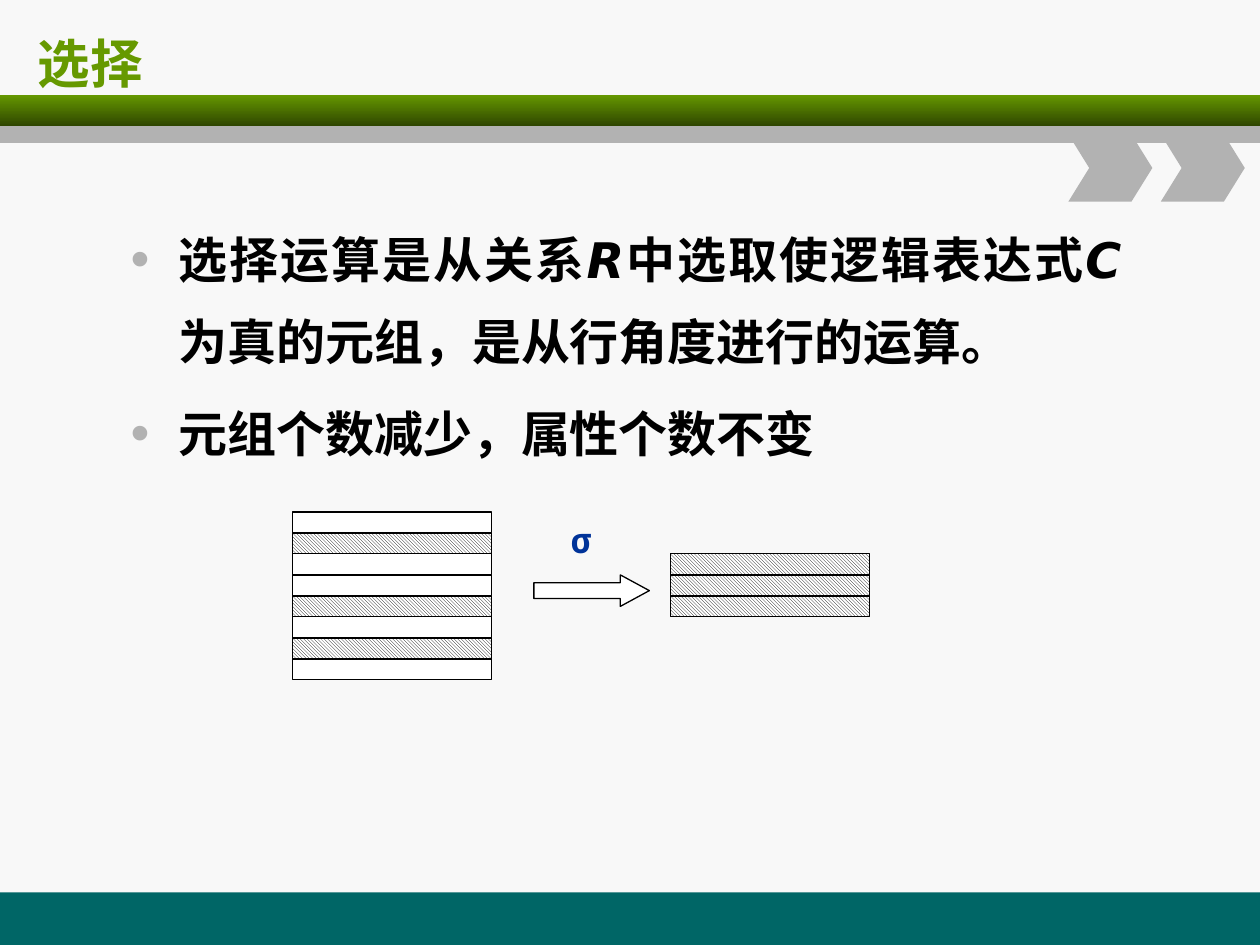
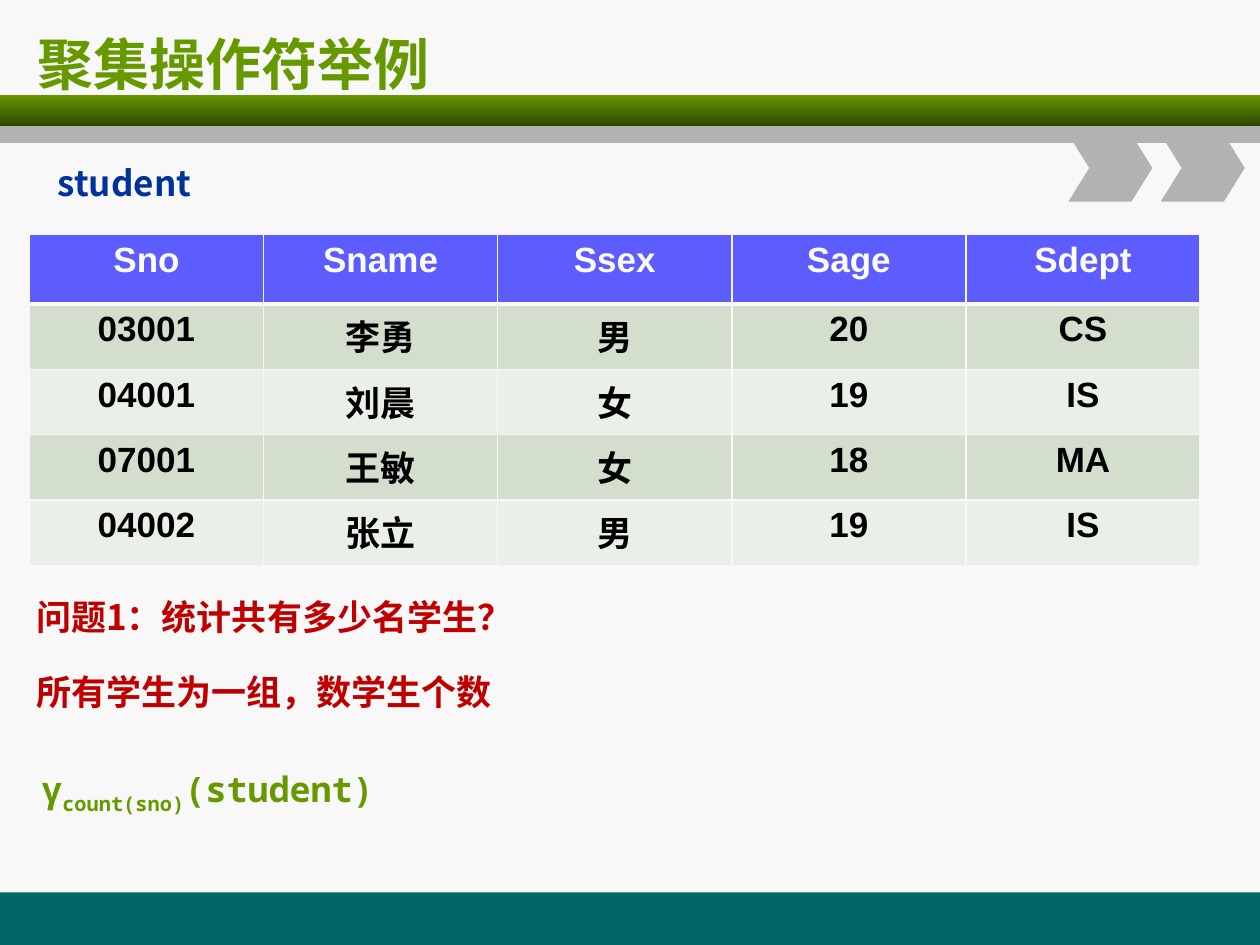
from typing import NamedTuple

from lxml.etree import SubElement
from pptx import Presentation
from pptx.dml.color import RGBColor
from pptx.enum.dml import MSO_PATTERN_TYPE as Pattern
from pptx.enum.shapes import MSO_SHAPE as Shape
from pptx.enum.text import MSO_ANCHOR as Anchor, MSO_AUTO_SIZE as AutoSize, PP_ALIGN as Align
from pptx.oxml.ns import qn
from pptx.util import Inches, Pt

GREEN, DARK_GREEN, TEAL, GRAY = "669900", "2F4600", "006666", "B2B2B2"
PAPER, WHITE, BLACK, NAVY, RED = "F8F8F8", "FFFFFF", "000000", "003399", "C00000"
HEADER_BLUE, HEADER_TEXT = "5C5CFF", "FBFBFB"
ROW_TINTS = ("D3DECC", "EAEFE7")
SANS, MONO, CJK, ARIAL = "DejaVu Sans", "Noto Sans Mono", "Noto Sans CJK SC", "Arial"
MODULES_PER_INCH = 12

STUDENTS = [
    ("Sno", "Sname", "Ssex", "Sage", "Sdept"),
    ("03001", "李勇", "男", "20", "CS"),
    ("04001", "刘晨", "女", "19", "IS"),
    ("07001", "王敏", "女", "18", "MA"),
    ("04002", "张立", "男", "19", "IS"),
]


class Box(NamedTuple):
    """A region measured in grid modules; the slide is 120 by 90."""
    x: float
    y: float
    w: float
    h: float

    def inner(self, x, y, w, h):
        return Box(self.x + x, self.y + y, w, h)

    def lengths(self):
        return [Inches(side / MODULES_PER_INCH) for side in self]


SLIDE = Box(0, 0, 120, 90)


def rgb(code):
    return RGBColor.from_string(code)


def add_run(paragraph, text, size, color, font=CJK, italic=False, baseline=0):
    run = paragraph.add_run()
    run.text = text
    run.font.size, run.font.name = Pt(size), font
    run.font.bold, run.font.italic = True, italic
    run.font.color.rgb = rgb(color)
    properties = run._r.get_or_add_rPr()
    SubElement(properties, qn("a:ea")).set("typeface", CJK)
    if baseline:
        properties.set("baseline", str(baseline * 1000))


def place(holder, box):
    holder.left, holder.top, holder.width, holder.height = box.lengths()


def add_figure(shapes, kind, box, fill=None, outlined=False):
    figure = shapes.add_shape(kind, *box.lengths())
    figure.shadow.inherit = False
    if fill:
        figure.fill.solid()
        figure.fill.fore_color.rgb = rgb(fill)
    if outlined:
        figure.line.color.rgb = rgb(BLACK)
        figure.line.width = Pt(0.75)
    else:
        figure.line.fill.background()
    return figure


def add_label(shapes, box, align=Align.LEFT):
    """Add a text box and return its first paragraph."""
    frame = shapes.add_textbox(*box.lengths()).text_frame
    frame.word_wrap = True
    frame.paragraphs[0].alignment = align
    return frame.paragraphs[0]


def decorate_master(master, slide, box):
    """Draw the bands and chevrons on a slide, then hand them to the master."""
    master.background.fill.solid()
    master.background.fill.fore_color.rgb = rgb(PAPER)
    bands = slide.shapes.add_group_shape()
    add_figure(bands.shapes, Shape.RECTANGLE, box.inner(0, 85, box.w, 5), TEAL)
    shaded = add_figure(bands.shapes, Shape.RECTANGLE, box.inner(0, 9, box.w, 3))
    shaded.fill.gradient()
    shaded.fill.gradient_angle = 270
    for stop, color in zip(shaded.fill.gradient_stops, (GREEN, DARK_GREEN)):
        stop.color.rgb = rgb(color)
    add_figure(bands.shapes, Shape.RECTANGLE, box.inner(0, 12, box.w, 1.6), GRAY)
    for index in range(2):
        chevron = add_figure(bands.shapes, Shape.CHEVRON,
                             box.inner(101.75 + 8.8 * index, 12.8, 8, 6.4), GRAY)
        chevron.adjustments[0] = 0.31
    for number, identity in enumerate(bands.element.iter(qn("p:cNvPr")), 20):
        identity.set("id", str(number))
    master.shapes.element.append(bands.element)


def set_title(slide, text, size):
    title = slide.shapes.title
    place(title, SLIDE.inner(2.4, 2, 114.6, 8))
    frame = title.text_frame
    frame.vertical_anchor, frame.auto_size = Anchor.MIDDLE, AutoSize.NONE
    frame.paragraphs[0].alignment = Align.LEFT
    add_run(frame.paragraphs[0], text, size, GREEN, SANS)


def format_bullet(paragraph):
    properties = paragraph._p.get_or_add_pPr()
    properties.set("marL", str(Inches(0.38)))
    properties.set("indent", str(-Inches(0.38)))
    color = SubElement(properties, qn("a:buClr"))
    SubElement(color, qn("a:srgbClr")).set("val", GRAY)
    SubElement(properties, qn("a:buSzPct")).set("val", "110000")
    SubElement(properties, qn("a:buFont")).set("typeface", ARIAL)
    SubElement(properties, qn("a:buChar")).set("char", "•")
    paragraph.alignment, paragraph.line_spacing = Align.JUSTIFY, 1.4


def fill_body(body, box, points):
    """Each point is a list of text pieces, every second one in italics."""
    place(body, box)
    frame = body.text_frame
    frame.auto_size = AutoSize.NONE
    for index, pieces in enumerate(points):
        paragraph = frame.add_paragraph() if index else frame.paragraphs[0]
        format_bullet(paragraph)
        paragraph.space_before = Pt(5.6 if index else 0)
        for order, piece in enumerate(pieces):
            add_run(paragraph, piece, 28, BLACK, SANS, italic=order % 2 == 1)


def draw_relation(shapes, box, row_count, selected):
    row_height = box.h / row_count
    for row in range(row_count):
        tuple_box = box.inner(0, row * row_height, box.w, row_height)
        bar = add_figure(shapes, Shape.RECTANGLE, tuple_box, WHITE, outlined=True)
        if row in selected:
            bar.fill.patterned()
            bar.fill.pattern = Pattern.LIGHT_DOWNWARD_DIAGONAL
            bar.fill.fore_color.rgb = rgb(BLACK)
            bar.fill.back_color.rgb = rgb(WHITE)


def draw_selection(slide, box):
    shapes = slide.shapes.add_group_shape().shapes
    draw_relation(shapes, box.inner(0, 0, 19, 16), 8, {1, 4, 6})
    draw_relation(shapes, box.inner(36, 4, 19, 6), 3, {0, 1, 2})
    arrow = add_figure(shapes, Shape.RIGHT_ARROW, box.inner(23, 6, 11, 3), WHITE, outlined=True)
    arrow.adjustments[1] = 0.92
    sigma = add_label(shapes, box.inner(23, 0, 9, 5.25), Align.CENTER)
    add_run(sigma, "σ", 20, NAVY, MONO)


def set_borders(cell, widths):
    properties = cell._tc.get_or_add_tcPr()
    for side, width in zip("LRTB", widths):
        border = SubElement(properties, qn(f"a:ln{side}"))
        border.set("w", str(Pt(width)))
        color = SubElement(SubElement(border, qn("a:solidFill")), qn("a:srgbClr"))
        color.set("val", PAPER)


def add_student_table(slide, box):
    table = slide.shapes.add_table(len(STUDENTS), len(STUDENTS[0]), *box.lengths()).table
    table.horz_banding = False
    header_height = 6.6
    row_height = (box.h - header_height) / (len(STUDENTS) - 1)
    for index, record in enumerate(STUDENTS):
        is_header = index == 0
        table.rows[index].height = Inches(
            (header_height if is_header else row_height) / MODULES_PER_INCH)
        for column, value in enumerate(record):
            cell = table.cell(index, column)
            set_borders(cell, (1, 1, 3 if index == 1 else 1, 3 if is_header else 1))
            cell.fill.solid()
            cell.fill.fore_color.rgb = rgb(HEADER_BLUE if is_header else ROW_TINTS[(index - 1) % 2])
            paragraph = cell.text_frame.paragraphs[0]
            paragraph.alignment = Align.CENTER
            add_run(paragraph, value, 20, HEADER_TEXT if is_header else BLACK, ARIAL)


def add_question(slide, box):
    line_height = 5.25
    for y, text in ((0, "问题1：统计共有多少名学生？"), (7.1, "所有学生为一组，数学生个数")):
        add_run(add_label(slide.shapes, box.inner(0, y, box.w, line_height)), text, 20, RED)
    formula = add_label(slide.shapes, box.inner(0.5, 16.4, box.w, line_height))
    for text, baseline in (("γ", 0), ("count(sno)", -25), ("(student)", 0)):
        add_run(formula, text, 20, GREEN, MONO, baseline=baseline)


def build_selection_slide(slide):
    set_title(slide, "选择", 30)
    fill_body(slide.placeholders[1], SLIDE.inner(11.25, 19, 96.75, 65), [
        ["选择运算是从关系", "R", "中选取使逻辑表达式", "C", "为真的元组，是从行角度进行的运算。"],
        ["元组个数减少，属性个数不变"],
    ])
    draw_selection(slide, SLIDE.inner(27.85, 48.75, 55, 16))


def build_aggregate_slide(slide):
    set_title(slide, "聚集操作符举例", 32)
    add_student_table(slide, SLIDE.inner(2.8, 22.35, 111.5, 31.5))
    caption = add_label(slide.shapes, SLIDE.inner(0.4, 14.8, 19, 5.25), Align.RIGHT)
    add_run(caption, "student", 20, NAVY)
    add_question(slide, SLIDE.inner(2.25, 56.15, 88, 21.65))


def main():
    deck = Presentation()
    deck.slide_width, deck.slide_height = SLIDE.lengths()[2:]
    selection = deck.slides.add_slide(deck.slide_layouts.get_by_name("Title and Content"))
    aggregate = deck.slides.add_slide(deck.slide_layouts.get_by_name("Title Only"))
    decorate_master(deck.slide_master, selection, SLIDE)
    build_selection_slide(selection)
    build_aggregate_slide(aggregate)
    deck.save("out.pptx")


if __name__ == "__main__":
    main()
